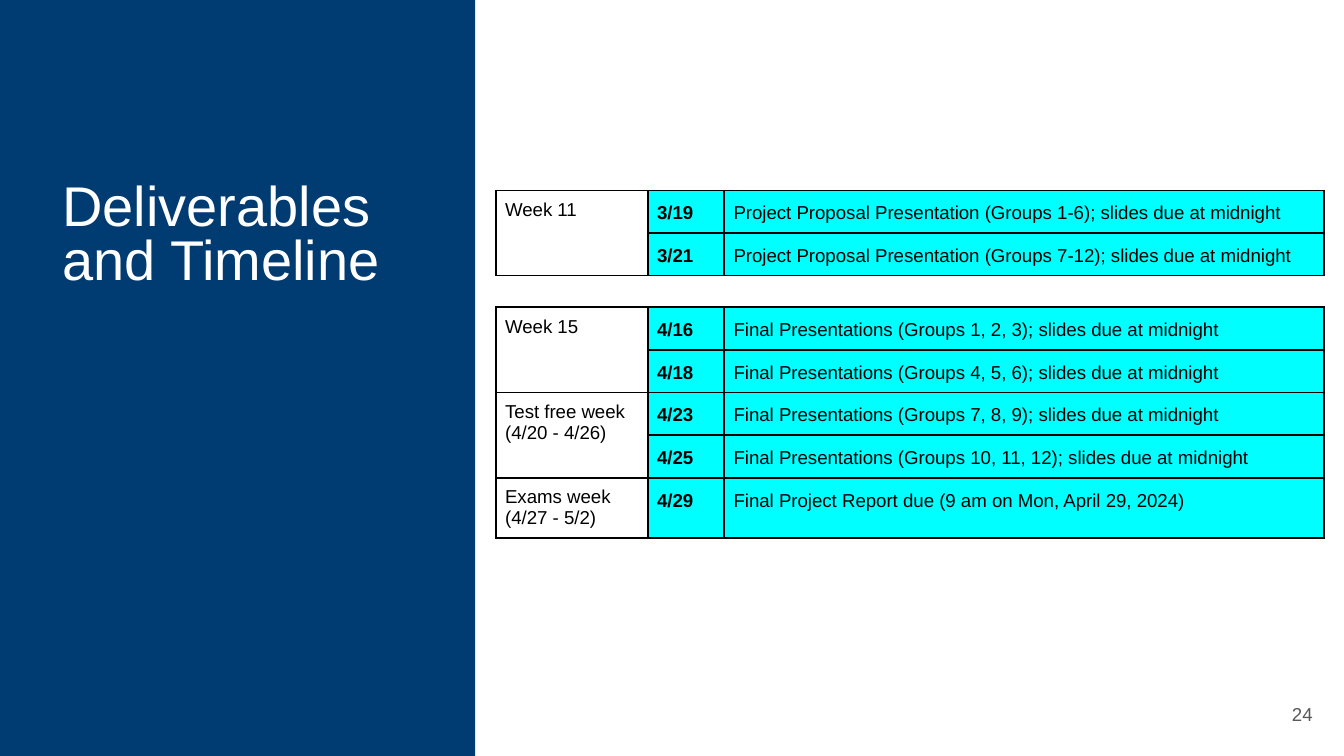
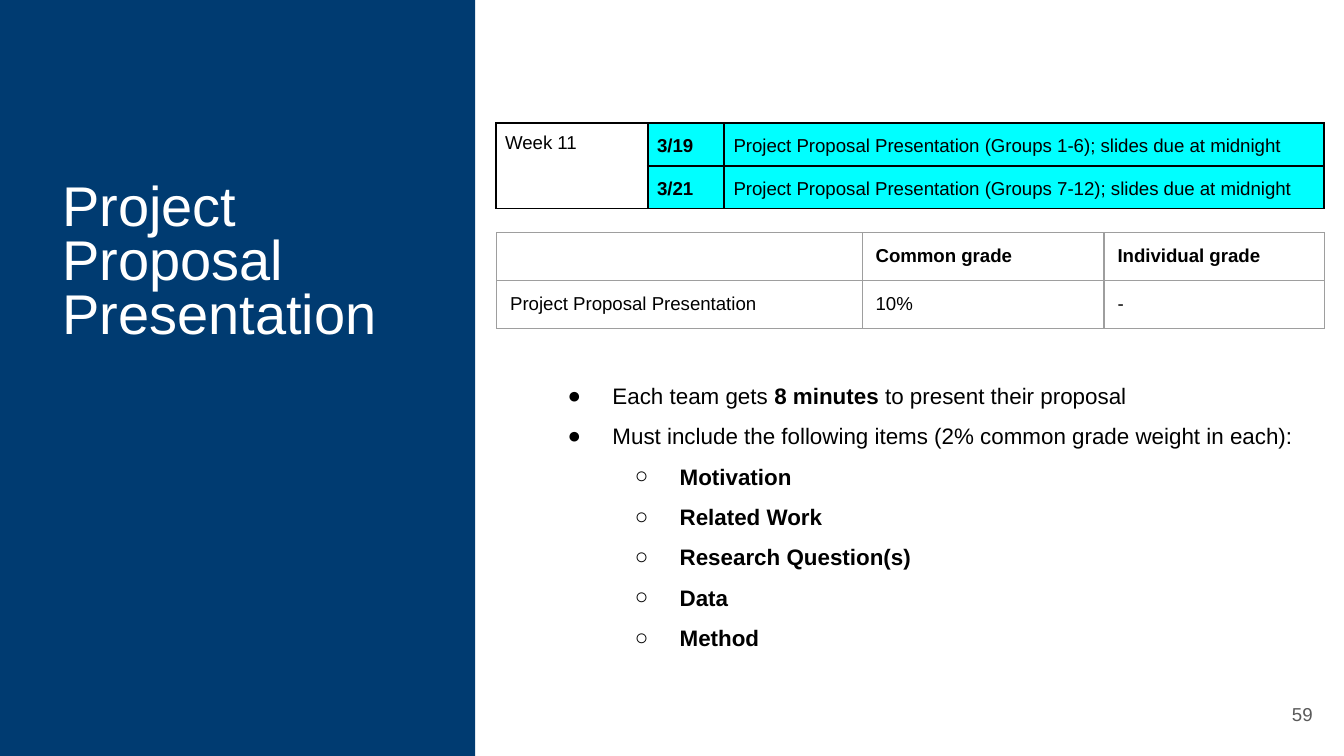
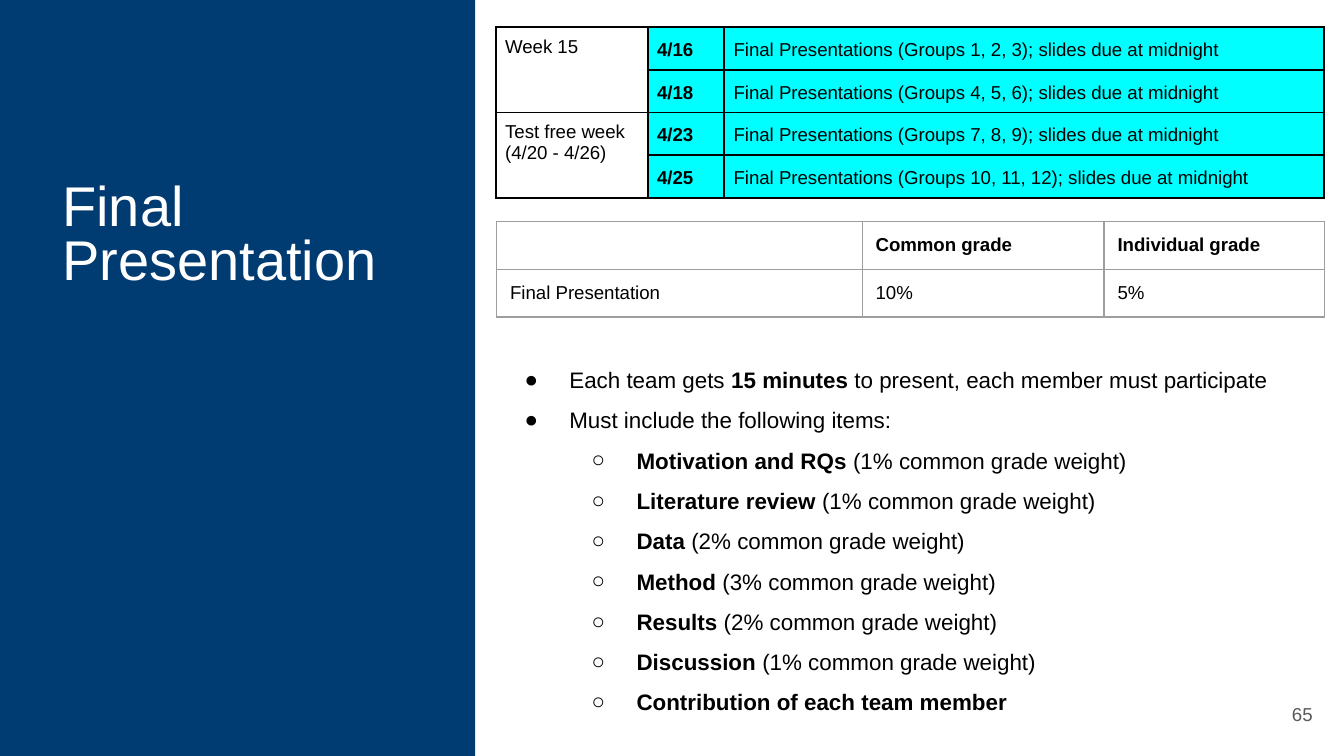
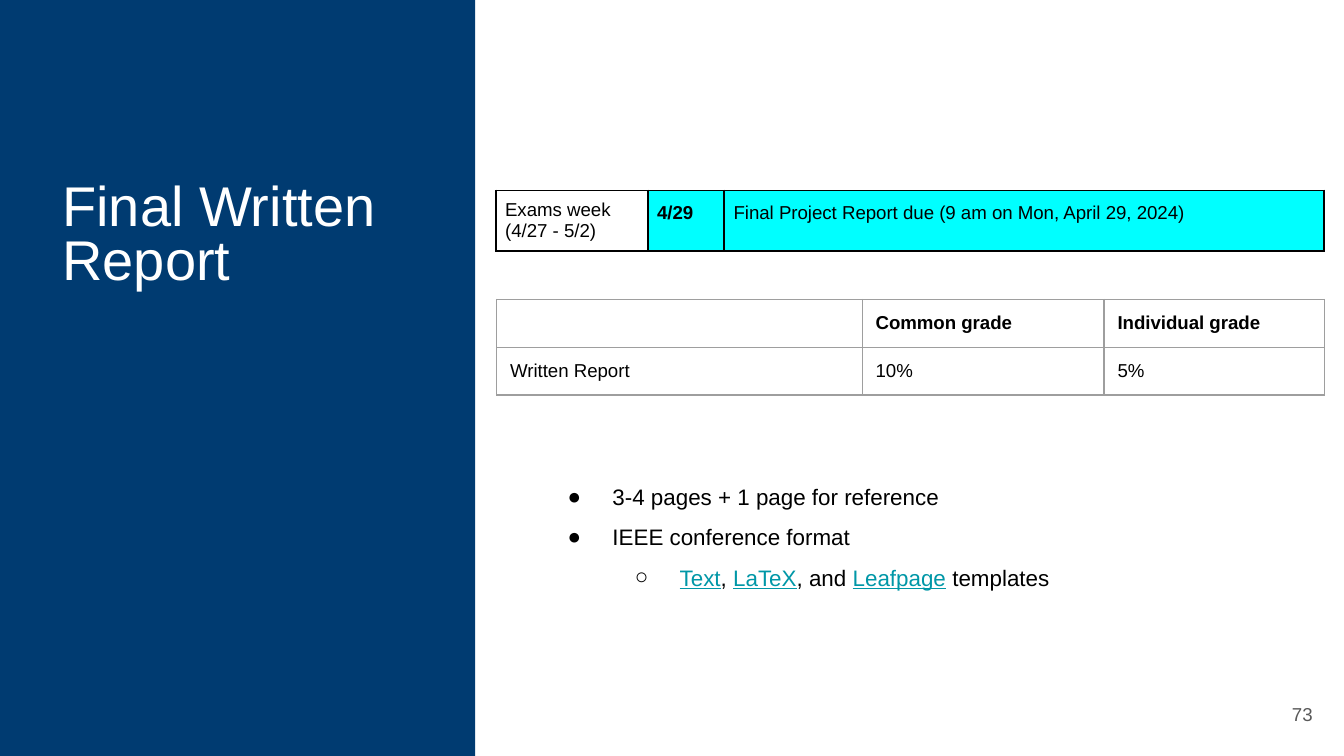
from dataclasses import dataclass

from lxml.etree import SubElement
from pptx import Presentation
from pptx.dml.color import RGBColor
from pptx.enum.shapes import MSO_SHAPE
from pptx.enum.text import MSO_ANCHOR, MSO_AUTO_SIZE, PP_ALIGN
from pptx.oxml.ns import qn
from pptx.util import Pt


# Theme: colours, type and sizes
@dataclass(frozen=True)
class Theme:
    font: str = "Arial"
    navy: str = "003B71"
    white: str = "FFFFFF"
    black: str = "000000"
    cyan: str = "00FFFF"
    rule_gray: str = "9E9E9E"
    number_gray: str = "595959"
    link: str = "0097A7"
    title_size: int = 30
    list_size: int = 12
    small_size: int = 10


# Schedule: week label, then date and event of each row
WEEK_11 = ("Week 11", [
    ("3/19", "Project Proposal Presentation (Groups 1-6); slides due at midnight"),
    ("3/21", "Project Proposal Presentation (Groups 7-12); slides due at midnight"),
])
WEEK_15 = ("Week 15", [
    ("4/16", "Final Presentations (Groups 1, 2, 3); slides due at midnight"),
    ("4/18", "Final Presentations (Groups 4, 5, 6); slides due at midnight"),
])
TEST_FREE_WEEK = ("Test free week (4/20 - 4/26)", [
    ("4/23", "Final Presentations (Groups 7, 8, 9); slides due at midnight"),
    ("4/25", "Final Presentations (Groups 10, 11, 12); slides due at midnight"),
])
EXAMS_WEEK = ("Exams week (4/27 - 5/2)", [
    ("4/29", "Final Project Report due (9 am on Mon, April 29, 2024)"),
])

SCHEDULE_LEFT, GRADES_LEFT = 265.6, 266.1
SCHEDULE_COLUMNS = (81.4, 41, 131.8, 189.4)
GRADE_COLUMNS = (195.8, 129.6, 118.1)
SCHEDULE_ROW, GRADE_ROW = 20.5, 25.6
TABLE_FRAME = 236.2
BULLETS = "●○"


class DeckBuilder:
    def __init__(self, theme):
        self.theme = theme
        self.deck = Presentation()
        self.deck.slide_width, self.deck.slide_height = Pt(720), Pt(405)
        self.page = None

    # Text
    def style(self, span, size, color, bold=False, underline=False):
        font = span.font
        font.name, font.size = self.theme.font, Pt(size)
        font.bold, font.underline = bold, underline
        font.color.rgb = RGBColor.from_string(color)

    def set_frame(self, frame, inset=0, anchor=MSO_ANCHOR.TOP):
        frame.word_wrap = True
        frame.auto_size = MSO_AUTO_SIZE.NONE
        frame.vertical_anchor = anchor
        frame.margin_left = frame.margin_right = Pt(inset)
        frame.margin_top = frame.margin_bottom = Pt(inset)

    def place(self, box, left, top, width, height):
        box.left, box.top = Pt(left), Pt(top)
        box.width, box.height = Pt(width), Pt(height)

    # Page with band, title and number
    def add_page(self, title, number, has_list=True):
        theme = self.theme
        layout = self.deck.slide_layouts[1 if has_list else 5]
        self.page = self.deck.slides.add_slide(layout)
        shapes = self.page.shapes

        band = shapes.add_shape(MSO_SHAPE.RECTANGLE, 0, 0, Pt(254.6), Pt(405))
        band.shadow.inherit = False
        band.fill.solid()
        band.fill.fore_color.rgb = RGBColor.from_string(theme.navy)
        band.line.fill.background()
        shapes.title.element.addprevious(band.element)

        self.place(shapes.title, 33.4, 98.4, 209.5, 105.8)
        frame = shapes.title.text_frame
        self.set_frame(frame)
        frame.text = title
        para = frame.paragraphs[0]
        para.alignment, para.line_spacing = PP_ALIGN.LEFT, 0.8
        self.style(para.runs[0], theme.title_size, theme.white)

        box = shapes.add_textbox(Pt(667.1), Pt(367.2), Pt(43.2), Pt(31))
        self.set_frame(box.text_frame, 7.2, MSO_ANCHOR.MIDDLE)
        box.text_frame.text = str(number)
        para = box.text_frame.paragraphs[0]
        para.alignment = PP_ALIGN.RIGHT
        self.style(para.runs[0], theme.small_size, theme.number_gray)

    # Tables
    def add_table(self, left, top, columns, row_count, row_height):
        frame = self.page.shapes.add_table(
            row_count, len(columns), Pt(left), Pt(top),
            Pt(sum(columns)), Pt(row_height * row_count))
        table = frame.table
        table.first_row = table.horz_banding = False
        for column, width in zip(table.columns, columns):
            column.width = Pt(width)
        # Columns and rows set the drawn size; every frame is one square
        frame.width = frame.height = Pt(TABLE_FRAME)
        return table

    def finish_cell(self, cell, line_color, line_width, fill=None):
        properties = cell._tc.get_or_add_tcPr()
        for side in ("a:lnL", "a:lnR", "a:lnT", "a:lnB"):
            line = SubElement(properties, qn(side), w=str(Pt(line_width)))
            solid = SubElement(line, qn("a:solidFill"))
            SubElement(solid, qn("a:srgbClr"), val=line_color)
        if fill:
            cell.fill.solid()
            cell.fill.fore_color.rgb = RGBColor.from_string(fill)
        else:
            cell.fill.background()

    def write_cell(self, cell, text, inset, bold=False, spacing=None):
        cell.margin_left = cell.margin_right = Pt(inset)
        cell.margin_top = cell.margin_bottom = Pt(inset)
        cell.text_frame.text = text
        para = cell.text_frame.paragraphs[0]
        if spacing:
            para.line_spacing = spacing
        for span in para.runs:
            self.style(span, self.theme.small_size, self.theme.black, bold)
        if not text:
            # An empty cell keeps the small type, so its row stays low
            ending = SubElement(para._p, qn("a:endParaRPr"),
                                sz=str(self.theme.small_size * 100))
            SubElement(ending, qn("a:latin"), typeface=self.theme.font)

    def add_schedule(self, top, weeks):
        row_count = sum(len(events) for _, events in weeks)
        table = self.add_table(SCHEDULE_LEFT, top, SCHEDULE_COLUMNS,
                               row_count, SCHEDULE_ROW)
        for row in range(row_count):
            for column in range(len(SCHEDULE_COLUMNS)):
                self.finish_cell(table.cell(row, column), self.theme.black, 1,
                                 self.theme.cyan if column else None)
        row = 0
        for week, events in weeks:
            if len(events) > 1:
                table.cell(row, 0).merge(table.cell(row + len(events) - 1, 0))
            self.write_cell(table.cell(row, 0), week, 5)
            for date, event in events:
                table.cell(row, 2).merge(table.cell(row, 3))
                self.write_cell(table.cell(row, 1), date, 5, True, 1.15)
                self.write_cell(table.cell(row, 2), event, 5, False, 1.15)
                row += 1

    def add_grades(self, top, item, common, individual):
        rows = (("", "Common grade", "Individual grade"),
                (item, common, individual))
        table = self.add_table(GRADES_LEFT, top, GRADE_COLUMNS,
                               len(rows), GRADE_ROW)
        for row, texts in enumerate(rows):
            for column, text in enumerate(texts):
                cell = table.cell(row, column)
                self.write_cell(cell, text, 7.2, bold=row == 0)
                self.finish_cell(cell, self.theme.rule_gray, 0.75)

    # Bulleted list: each item is a level and its (text, look) spans
    def add_list(self, left, top, width, height, items):
        theme = self.theme
        body = self.page.placeholders[1]
        self.place(body, left, top, width, height)
        frame = body.text_frame
        self.set_frame(frame)
        for index, (level, spans) in enumerate(items):
            para = frame.add_paragraph() if index else frame.paragraphs[0]
            para.level, para.line_spacing = level, 1.5
            para.alignment = PP_ALIGN.LEFT
            para.space_before = para.space_after = Pt(0)
            properties = para._p.get_or_add_pPr()
            properties.set("marL", str(Pt(36 * (level + 1))))
            properties.set("indent", str(Pt(-24)))
            color = SubElement(properties, qn("a:buClr"))
            SubElement(color, qn("a:srgbClr"), val=theme.black)
            SubElement(properties, qn("a:buFont"), typeface=theme.font)
            SubElement(properties, qn("a:buChar"), char=BULLETS[level])
            for text, look in spans:
                span = para.add_run()
                span.text = text
                is_link = look == "link"
                self.style(span, theme.list_size,
                           theme.link if is_link else theme.black,
                           look == "bold", is_link)


def plain(level, text):
    return level, [(text, "plain")]


def topic(name, note=""):
    if not note:
        return 1, [(name, "bold")]
    return 1, [(name + " ", "bold"), (note, "plain")]


def time_limit(minutes, rest):
    return 0, [("Each team gets ", "plain"), (minutes, "bold"), (rest, "plain")]


def main():
    builder = DeckBuilder(Theme())

    # Deliverables and timeline
    builder.add_page("Deliverables and Timeline", 24, has_list=False)
    builder.add_schedule(102, [WEEK_11])
    builder.add_schedule(164.6, [WEEK_15, TEST_FREE_WEEK, EXAMS_WEEK])

    # Project proposal
    builder.add_page("Project Proposal Presentation", 59)
    builder.add_schedule(66, [WEEK_11])
    proposal_topics = ("Motivation", "Related Work", "Research Question(s)",
                       "Data", "Method")
    builder.add_list(292.1, 197.5, 418.3, 164.9, [
        time_limit("8 minutes", " to present their proposal"),
        plain(0, "Must include the following items (2% common grade weight in each):"),
        *[topic(name) for name in proposal_topics],
    ])
    builder.add_grades(124.6, "Project Proposal Presentation", "10%", "-")

    # Final presentation
    builder.add_page("Final Presentation", 65)
    weights = {"Motivation and RQs": 1, "Literature review": 1, "Data": 2,
               "Method": 3, "Results": 2, "Discussion": 1}
    builder.add_list(269, 188.9, 430.6, 197.3, [
        time_limit("15 minutes", " to present, each member must participate"),
        plain(0, "Must include the following items:"),
        *[topic(name, f"({weight}% common grade weight)")
          for name, weight in weights.items()],
        topic("Contribution of each team member"),
    ])
    builder.add_grades(118.6, "Final Presentation", "10%", "5%")
    builder.add_schedule(14.6, [WEEK_15, TEST_FREE_WEEK])

    # Final written report
    builder.add_page("Final Written Report", 73)
    builder.add_schedule(102, [EXAMS_WEEK])
    builder.add_list(292.1, 251.6, 420.5, 134.6, [
        plain(0, "3-4 pages + 1 page for reference"),
        plain(0, "IEEE conference format"),
        (1, [("Text", "link"), (", ", "plain"), ("LaTeX", "link"),
             (", and ", "plain"), ("Leafpage", "link"),
             (" templates", "plain")]),
    ])
    builder.add_grades(160.4, "Written Report", "10%", "5%")

    builder.deck.save("out.pptx")


if __name__ == "__main__":
    main()
